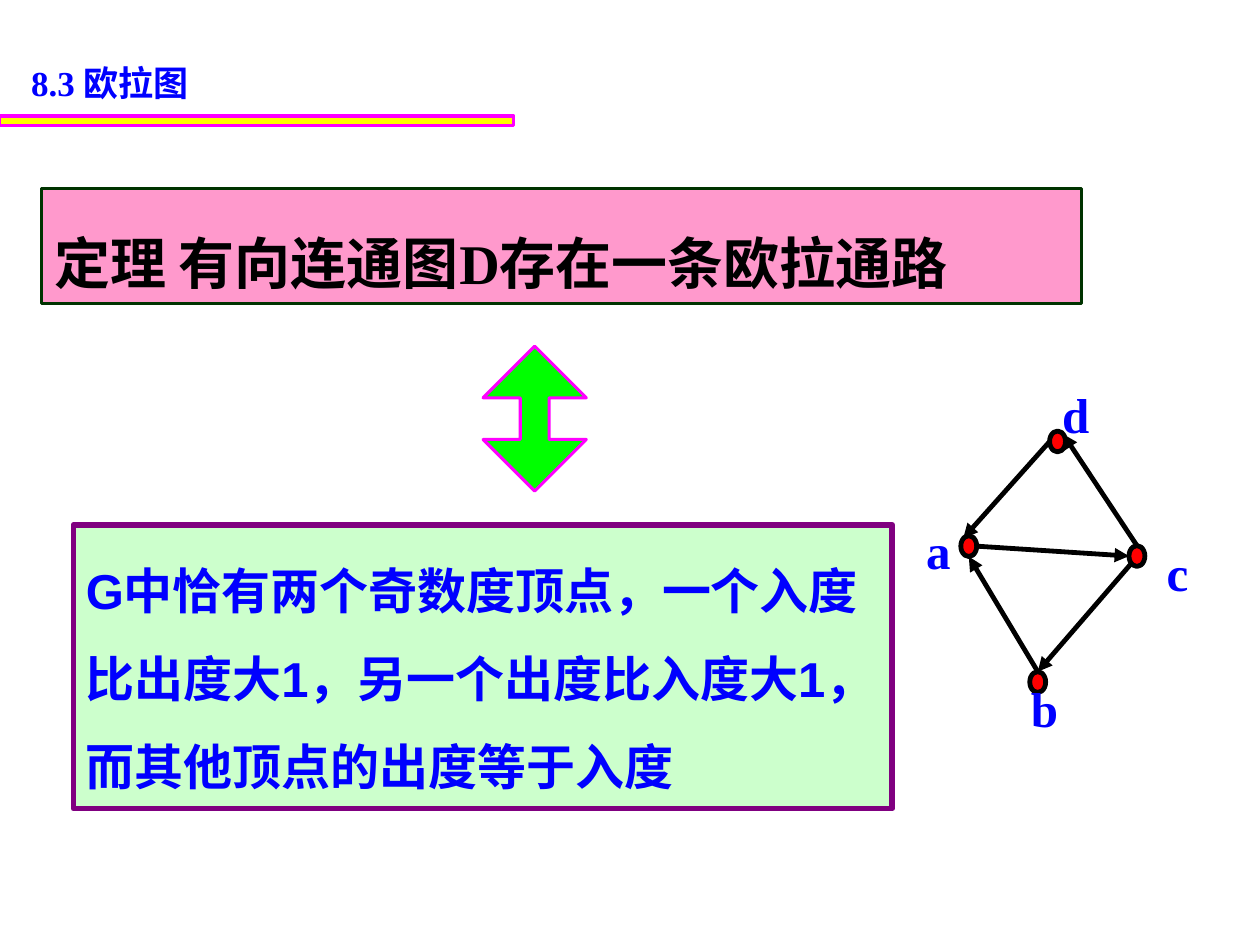
from lxml import etree
from pptx import Presentation
from pptx import util as u
from pptx.dml.color import RGBColor
from pptx.enum import shapes, text
from pptx.oxml.ns import qn

SERIF, SANS, CJK = "Times New Roman", "Arial", "Noto Sans CJK SC"
BLUE, BLACK, MAGENTA = "0000FF", "000000", "FF00FF"


def color(value):
    """Return the colour for a hex string."""
    return RGBColor.from_string(value)


def add_figure(slide, preset, box, fill, outline, weight):
    """Draw a filled, outlined preset shape in a box given in centimetres."""
    figure = slide.shapes.add_shape(preset, *map(u.Cm, box))
    figure.shadow.inherit = False
    figure.fill.solid()
    figure.fill.fore_color.rgb = color(fill)
    figure.line.color.rgb = color(outline)
    figure.line.width = u.Pt(weight)
    return figure


def write(holder, runs, size, ink, spacing=1.0, wrap=True):
    """Fill a shape with one bold, left-aligned paragraph of (wording, font) runs."""
    frame = holder.text_frame
    frame.word_wrap = wrap
    frame.vertical_anchor = text.MSO_ANCHOR.TOP
    frame.auto_size = text.MSO_AUTO_SIZE.SHAPE_TO_FIT_TEXT
    paragraph = frame.paragraphs[0]
    paragraph.alignment = text.PP_ALIGN.LEFT
    paragraph.line_spacing = spacing
    for wording, face in runs:
        run = paragraph.add_run()
        run.text = wording
        run.font.name = face
        run.font.size = u.Pt(size)
        run.font.bold = True
        run.font.color.rgb = color(ink)
        east_asian = etree.SubElement(run.font._element, qn("a:ea"))
        east_asian.set("typeface", CJK)


def add_header(slide, left, top, width):
    """Place the section title above its yellow rule."""
    title = slide.shapes.add_textbox(*map(u.Cm, (left + 0.38, top, 7.67, 1.09)))
    write(title, [("8.3 欧拉图", SERIF)], 20, BLUE)
    add_figure(slide, shapes.MSO_SHAPE.RECTANGLE, (left, top + 1.22, width, 0.2),
               "FFFF00", MAGENTA, 1.75)


def add_statement(slide, box, fill, outline, weight, runs, size, ink):
    """Place a framed statement with one-and-a-half line spacing."""
    statement = add_figure(slide, shapes.MSO_SHAPE.RECTANGLE, box, fill, outline, weight)
    write(statement, runs, size, ink, spacing=1.5)


def add_equivalence(slide, box):
    """Place the double arrow that links the two statements."""
    arrow = add_figure(slide, shapes.MSO_SHAPE.UP_DOWN_ARROW, box, "00FF00", MAGENTA, 1.75)
    arrow.adjustments[0] = 0.5
    arrow.adjustments[1] = 0.28


def add_edge(slide, start, end):
    """Draw a directed edge between two points in centimetres."""
    edge = slide.shapes.add_connector(shapes.MSO_CONNECTOR.STRAIGHT, *map(u.Cm, start + end))
    edge.line.color.rgb = color(BLACK)
    edge.line.width = u.Pt(2.75)
    etree.SubElement(edge.line._get_or_add_ln(), qn("a:tailEnd")).set("type", "triangle")
    etree.SubElement(edge._element.spPr, qn("a:effectLst"))


def add_digraph(slide, left, top):
    """Draw the directed graph on vertices a, b, c and d."""
    vertex_width, vertex_height = 0.32, 0.42
    vertices = {"a": (0.95, 3.18), "c": (4.34, 3.38), "b": (2.34, 5.92), "d": (2.74, 1.07)}
    labels = {"a": (0, 2.74, 1.02), "b": (2.11, 5.94, 1.07),
              "d": (2.74, 0, 1.07), "c": (4.85, 3.2, 0.97)}
    edges = [("a", (1, 0.5), "c", (0, 0.5)), ("d", (0, 0.5), "a", (0.15, 0.12)),
             ("b", (0.5, 0), "a", (0.5, 1)), ("c", (0.5, 0), "d", (0.85, 0.15)),
             ("c", (0.15, 0.85), "b", (0.5, 0))]

    def rim(name, share):
        """Return the point at a share of a vertex's width and height."""
        x, y = vertices[name]
        return left + x + share[0] * vertex_width, top + y + share[1] * vertex_height

    for x, y in vertices.values():
        add_figure(slide, shapes.MSO_SHAPE.OVAL,
                   (left + x, top + y, vertex_width, vertex_height), "FF0000", BLACK, 2.75)
    for source, leaving, target, entering in edges:
        add_edge(slide, rim(source, leaving), rim(target, entering))
    for name, (x, y, width) in labels.items():
        label = slide.shapes.add_textbox(*map(u.Cm, (left + x, top + y, width, 1.45)))
        write(label, [(name, SERIF)], 28, BLUE, wrap=False)


def main():
    """Build the slide and save it."""
    deck = Presentation()
    deck.slide_width, deck.slide_height = u.Cm(25.4), u.Cm(19.05)
    slide = deck.slides.add_slide(deck.slide_layouts[6])
    add_header(slide, 0, 1.12, 10.36)
    add_statement(slide, (0.84, 3.81, 20.96, 2.31), "FF99CC", "003300", 1.75,
                  [("定理 有向连通图", CJK), ("D存在一条欧拉通路", SERIF)], 32, BLACK)
    add_equivalence(slide, (9.74, 6.98, 2.08, 2.92))
    add_statement(slide, (1.48, 10.58, 16.51, 5.72), "CCFFCC", "800080", 3.25,
                  [("G中恰有两个奇数度顶点，一个入度比出度大1，"
                    "另一个出度比入度大1，而其他顶点的出度等于入度", SANS)], 28, BLUE)
    add_digraph(slide, 18.42, 7.62)
    deck.save("out.pptx")


if __name__ == "__main__":
    main()
